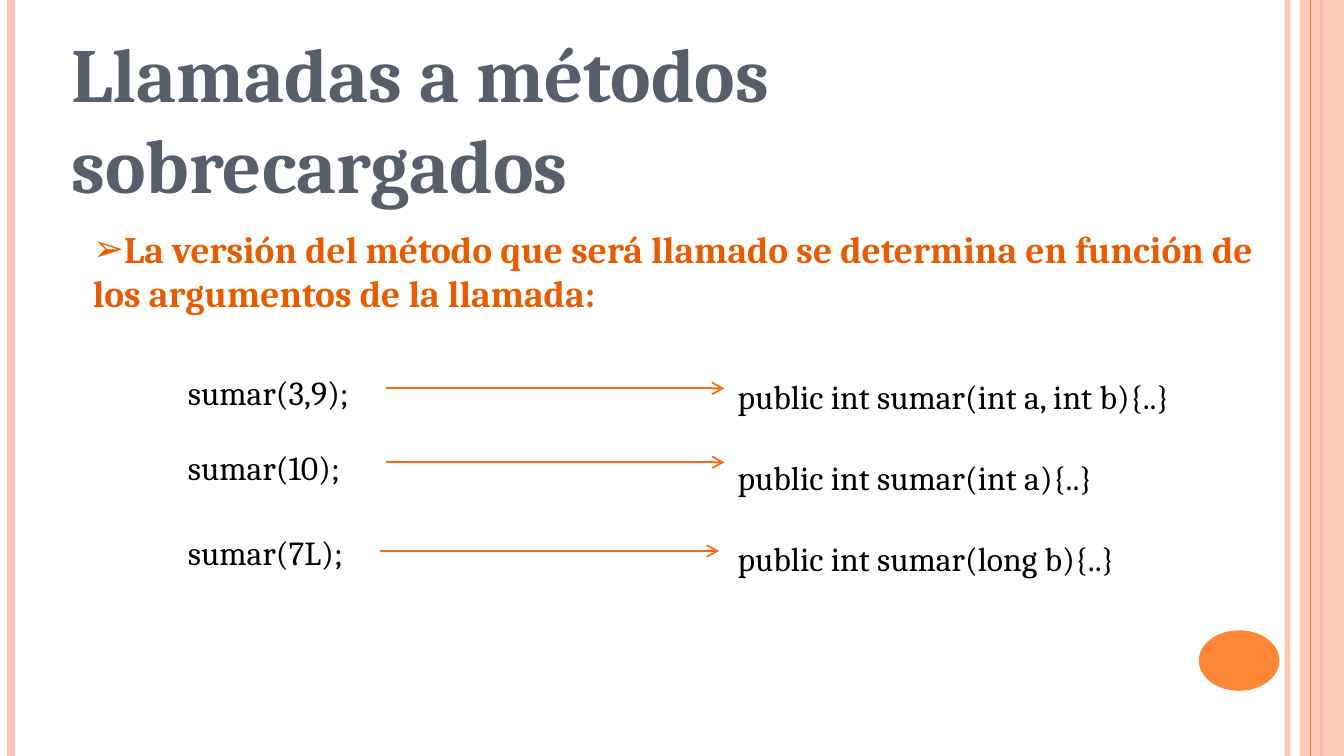
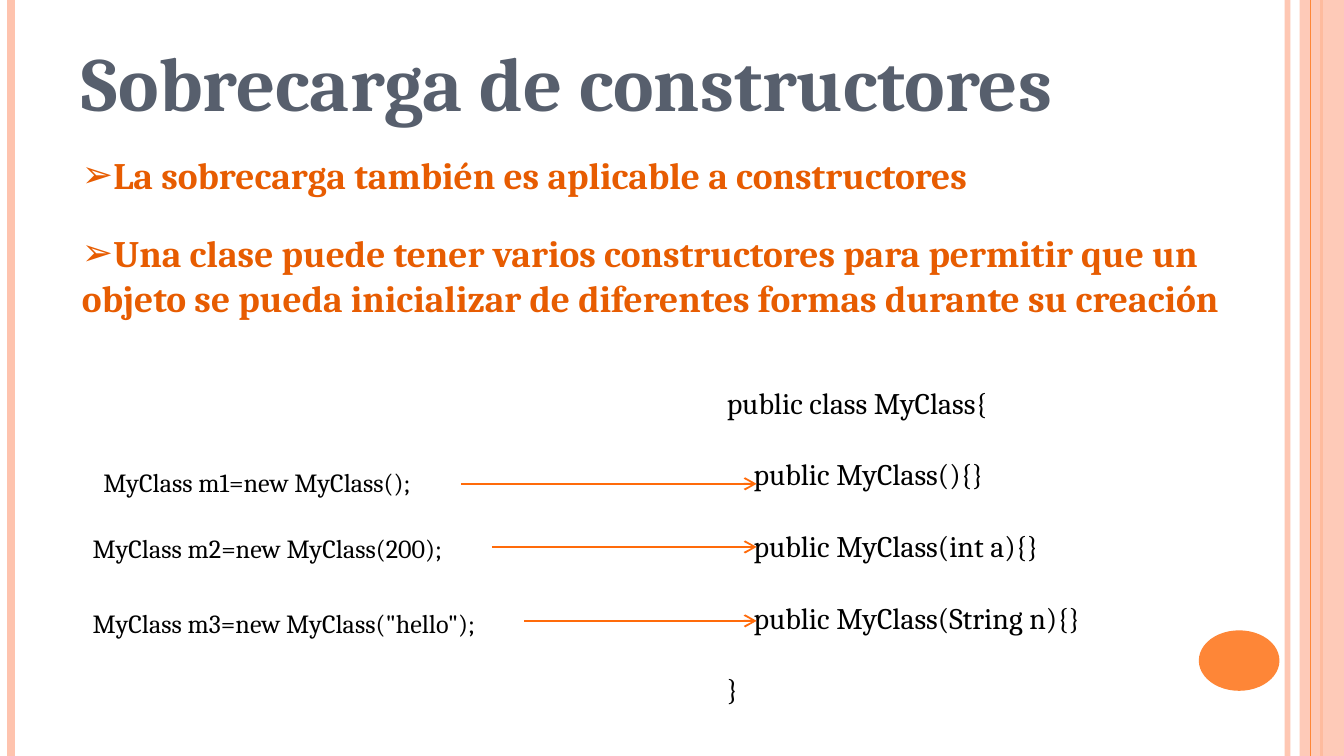
"""Builds two slides on overloaded methods and constructors."""
from lxml.etree import SubElement
from pptx import Presentation
from pptx.dml.color import RGBColor
from pptx.enum.shapes import MSO_CONNECTOR as CONNECTOR, MSO_SHAPE as SHAPE
from pptx.enum.text import MSO_ANCHOR as ANCHOR, MSO_AUTO_SIZE as AUTO_SIZE, PP_ALIGN as ALIGN
from pptx.oxml.ns import qn
from pptx.util import Inches, Pt

COLORS = {
    "title": "575F6D",
    "bullet": "E75C01",
    "code": "000000",
    "arrow": "FF6B0A",
    "band": "FEC3AE",
    "accent": "FE8637",
}
FONT = "Cambria"
WIDTH = 10
HEIGHT = WIDTH * 9 / 16


def write_text(shape, lines, size=18, color="code", bold=False, bullet=None,
               before=0, after=0, spacing=None, indents=None):
    """Fill a shape with one formatted paragraph per line."""
    frame = shape.text_frame
    frame.word_wrap = True
    frame.auto_size = AUTO_SIZE.NONE
    frame.vertical_anchor = ANCHOR.TOP
    for index, line in enumerate(lines):
        paragraph = frame.paragraphs[0] if index == 0 else frame.add_paragraph()
        paragraph.alignment = ALIGN.LEFT
        paragraph.space_before = Pt(before if index or bullet else 0)
        paragraph.space_after = Pt(after)
        if spacing:
            paragraph.line_spacing = spacing
        properties = paragraph._p.get_or_add_pPr()
        properties.set("marL", str(Inches(indents[index] if indents else 0)))
        properties.set("indent", "0")
        if bullet:
            SubElement(properties, qn("a:buChar"), char=bullet)
        run = paragraph.add_run()
        run.text = line
        run.font.name = FONT
        run.font.size = Pt(size)
        run.font.bold = bold
        run.font.color.rgb = RGBColor.from_string(COLORS[color])


def draw_line(slide, start, end, color, width, arrow=False):
    """Draw a straight line, optionally with an arrowhead at its end."""
    line = slide.shapes.add_connector(
        CONNECTOR.STRAIGHT, *(Inches(value) for value in (*start, *end)))
    line.line.color.rgb = RGBColor.from_string(COLORS[color])
    line.line.width = Pt(width)
    if arrow:
        SubElement(line.line._get_or_add_ln(), qn("a:tailEnd"), type="arrow")
    SubElement(line.element.spPr, qn("a:effectLst"))
    return line


presentation = Presentation()
presentation.slide_width = Inches(WIDTH)
presentation.slide_height = Inches(HEIGHT)
layout = presentation.slide_layouts[1]
for placeholder in list(layout.placeholders)[2:]:
    layout.shapes.element.remove(placeholder.element)

slide_contents = [
    {
        "title": "Llamadas a métodos sobrecargados",
        "title_box": (0.43, 0.14, 9.21, 0.89),
        "bullets": ["La versión del método que será llamado se determina en función "
                    "de los argumentos de la llamada:"],
        "bullets_box": (0.59, 1.63, 8.9, 2.54),
        "calls": [("sumar(3,9);", 1.3, 2.72), ("sumar(10);", 1.3, 3.28),
                  ("sumar(7L);", 1.3, 3.91)],
        "call_size": (2.28, 0.4),
        "call_format": {"size": 18},
        "targets": ["public int sumar(int a, int b){..}", "public int sumar(int a){..}",
                    "public int sumar(long b){..}"],
        "targets_box": (5.39, 2.45, 4.09, 2.45),
        "targets_format": {"size": 18, "spacing": 2.0},
        "arrows": [(2.87, 5.39, 2.89), (2.87, 5.39, 3.44), (2.83, 5.35, 4.1)],
    },
    {
        "title": "Sobrecarga de constructores",
        "title_box": (0.51, 0.21, 9.06, 0.89),
        "bullets": ["La sobrecarga también es aplicable a constructores",
                    "Una clase puede tener varios constructores para permitir que un "
                    "objeto se pueda inicializar de diferentes formas durante su creación"],
        "bullets_box": (0.51, 1.08, 8.9, 2.54),
        "calls": [("MyClass m1=new MyClass();", 0.67, 3.42),
                  ("MyClass m2=new MyClass(200);", 0.59, 3.91),
                  ('MyClass m3=new MyClass("hello");', 0.59, 4.47)],
        "call_size": (4.02, 0.34),
        "call_format": {"size": 14},
        "targets": ["public class MyClass{", "public MyClass(){}",
                    "public MyClass(int a){}", "public MyClass(String n){}", "}"],
        "targets_box": (5.31, 2.81, 3.54, 2.52),
        "targets_format": {"size": 16, "before": 19.2, "indents": (0, 0.2, 0.2, 0.2, 0)},
        "arrows": [(3.43, 5.63, 3.6), (3.66, 5.63, 4.07), (3.9, 5.63, 4.62)],
    },
]
slides = [presentation.slides.add_slide(layout) for content in slide_contents]

decorations = []
for left, color, width in [(9.58, "band", 3), (0.08, "band", 4.5), (9.83, "accent", 1.5)]:
    decorations.append(draw_line(slides[0], (left, 0), (left, HEIGHT), color, width))
for kind, box, color in [(SHAPE.RECTANGLE, (9.67, 0, 0.33, HEIGHT), "band"),
                         (SHAPE.OVAL, (8.92, 4.69, 0.6, 0.45), "accent")]:
    shape = slides[0].shapes.add_shape(kind, *(Inches(value) for value in box))
    shape.shadow.inherit = False
    shape.fill.solid()
    shape.fill.fore_color.rgb = RGBColor.from_string(COLORS[color])
    shape.line.fill.background()
    decorations.append(shape)
decorations.append(draw_line(slides[0], (9.75, 0), (9.75, HEIGHT), "accent", 0.75))
for shape, opacity in [(decorations[0], 93), (decorations[3], 87)]:
    color_element = next(shape.element.spPr.iter(qn("a:srgbClr")))
    SubElement(color_element, qn("a:alpha"), val=str(opacity * 1000))
for shape in decorations:
    layout.shapes.element.append(shape.element)

for slide, content in zip(slides, slide_contents):
    title, body = slide.placeholders
    for shape, box in [(title, content["title_box"]), (body, content["bullets_box"])]:
        shape.left, shape.top, shape.width, shape.height = (Inches(value) for value in box)
    write_text(title, [content["title"]], size=41, color="title", bold=True)
    write_text(body, content["bullets"], size=20, color="bullet", bold=True,
               bullet="➢", before=6, after=12)
    targets = slide.shapes.add_textbox(*(Inches(value) for value in content["targets_box"]))
    write_text(targets, content["targets"], **content["targets_format"])
    for call, left, top in content["calls"]:
        box = (left, top, *content["call_size"])
        call_box = slide.shapes.add_textbox(*(Inches(value) for value in box))
        write_text(call_box, [call], **content["call_format"])
    for start, end, height in content["arrows"]:
        draw_line(slide, (start, height), (end, height), "arrow", 1, arrow=True)

presentation.save("out.pptx")
